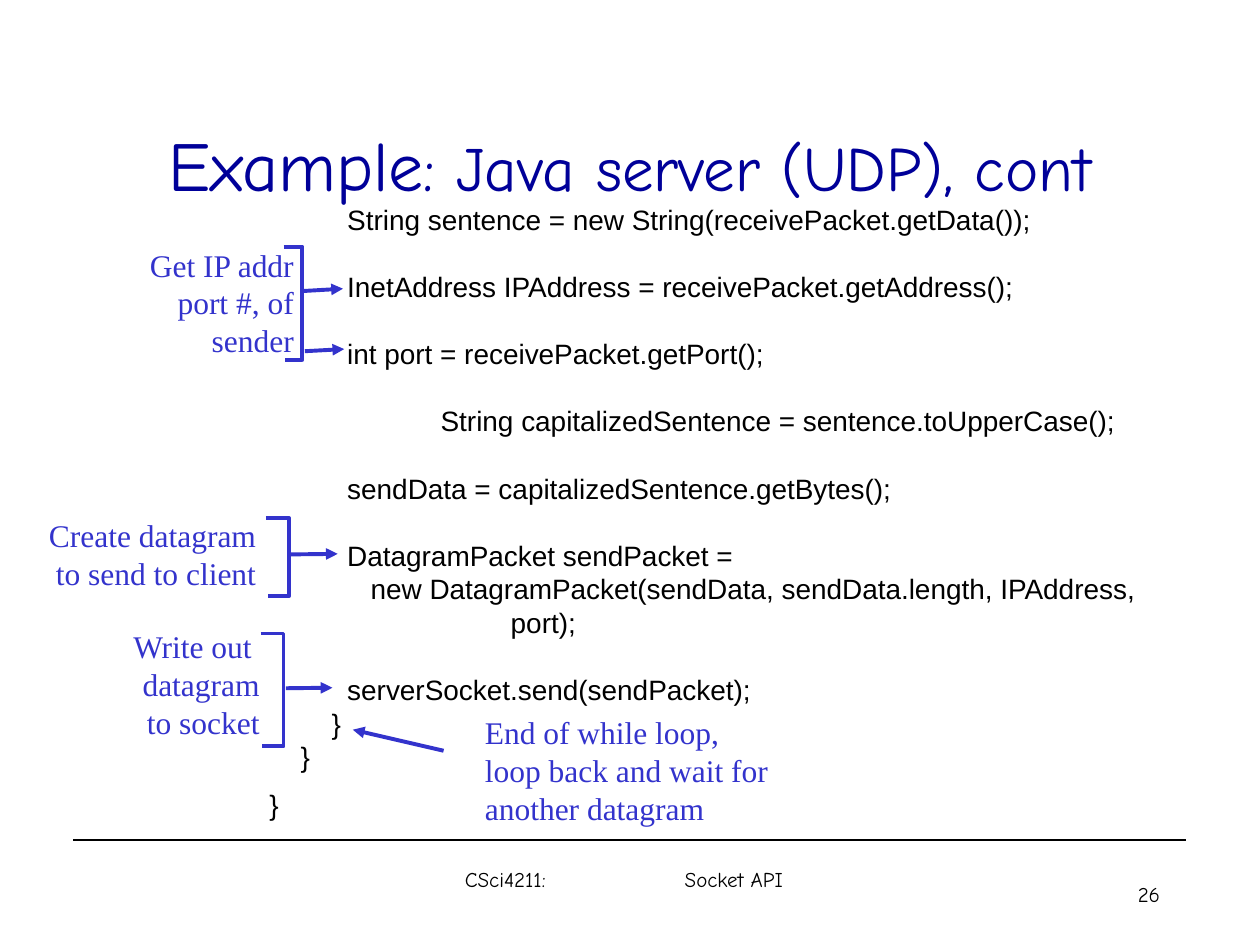
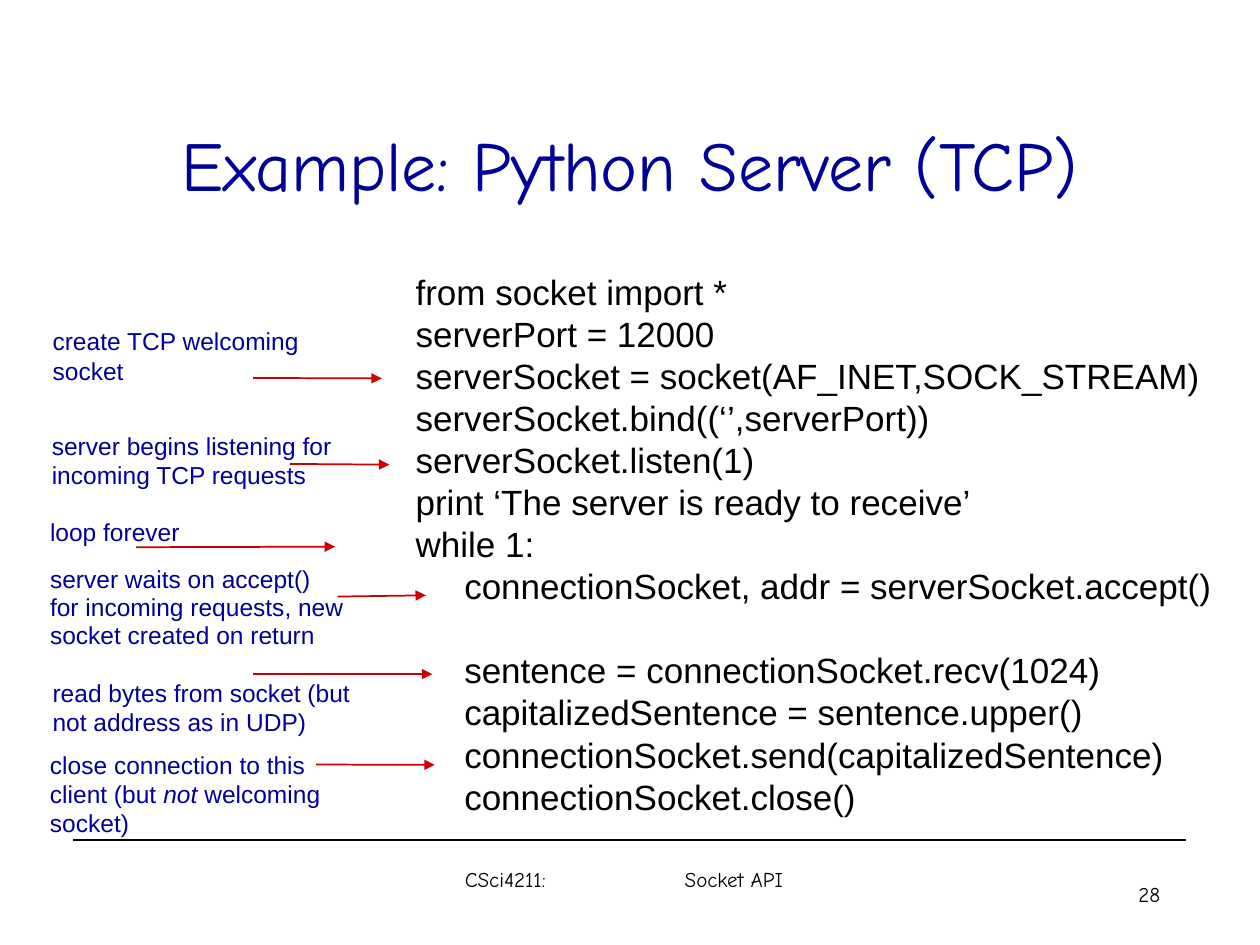
"""Build two slides of annotated socket code, in Java and in Python."""
import lxml.etree
import pptx
import pptx.dml.color
import pptx.enum.shapes
import pptx.enum.text
import pptx.oxml.ns
import pptx.util

Pt = pptx.util.Pt
qn = pptx.oxml.ns.qn
Align = pptx.enum.text.PP_ALIGN
LEFT, RIGHT, MID = Align.LEFT, Align.RIGHT, Align.CENTER

BLACK = pptx.dml.color.RGBColor(0x00, 0x00, 0x00)
NAVY = pptx.dml.color.RGBColor(0x00, 0x00, 0x99)
BLUE = pptx.dml.color.RGBColor(0x33, 0x33, 0xCC)
RED = pptx.dml.color.RGBColor(0xCC, 0x00, 0x00)

SPACE = 0.278
LEAD = 1.2

STYLES = {
    "title": {"name": "Comic Neue", "size": 40, "ink": NAVY},
    "foot": {"name": "Comic Neue", "size": 12, "ink": BLACK},
    "java": {"name": "Arial", "size": 16, "ink": BLACK},
    "python": {"name": "Arial", "size": 20, "ink": BLACK},
    "label": {"name": "Times New Roman", "size": 18, "ink": BLUE},
    "note": {"name": "Arial", "size": 14, "ink": NAVY},
}


class Deck:
    def __init__(self):
        self.show = pptx.Presentation()
        self.show.slide_width, self.show.slide_height = Pt(720), Pt(540)
        self.slide = None

    def start(self, title, number):
        self.slide = self.show.slides.add_slide(self.show.slide_layouts[5])
        self.head(title)
        self.line((42, 480), (678, 480), BLACK, 0.75)
        self.text((508, 500.4, 162, 29), "foot", [number], align=RIGHT)
        foot = self.text((258.5, 491.8, 234, 36), "foot", ["CSci4211:\tSocket API"])
        props = foot.text_frame.paragraphs[0]._p.get_or_add_pPr()
        tabs = lxml.etree.SubElement(props, qn("a:tabLst"))
        lxml.etree.SubElement(tabs, qn("a:tab"), pos=str(Pt(125.7)), algn="l")

    def head(self, parts):
        shape = self.slide.shapes.title
        self.place(shape, (54, 48.2, 612, 90))
        frame = shape.text_frame
        frame.auto_size = pptx.enum.text.MSO_AUTO_SIZE.NONE
        frame.vertical_anchor = pptx.enum.text.MSO_ANCHOR.MIDDLE
        para = frame.paragraphs[0]
        para.alignment, para.line_spacing = MID, Pt(48)
        for words, size in parts:
            self.run(para, words, "title", size=Pt(size))

    def place(self, shape, box):
        for key, value in zip(("left", "top", "width", "height"), box):
            setattr(shape, key, Pt(value))

    def run(self, para, words, style, **extra):
        look = STYLES[style]
        run = para.add_run()
        run.text = words
        form = {"name": look["name"], "size": Pt(look["size"]), "bold": False} | extra
        for key, value in form.items():
            setattr(run.font, key, value)
        run.font.color.rgb = look["ink"]

    def text(self, box, style, rows, align=LEFT, lead=None):
        shape = self.slide.shapes.add_textbox(*map(Pt, box))
        frame = shape.text_frame
        frame.word_wrap = True
        size = STYLES[style]["size"]
        for i, row in enumerate(rows):
            para = frame.add_paragraph() if i else frame.paragraphs[0]
            para.alignment = align
            para.line_spacing = Pt(lead or size * LEAD)
            parts = (row,) if isinstance(row, str) else row
            for k, words in enumerate(parts):
                self.run(para, words, style, italic=k % 2 == 1)
        return shape

    def code(self, box, style, rows):
        shape = self.text(box, style, [words for _, _, words in rows])
        size = STYLES[style]["size"]
        for para, (gap, indent, _) in zip(shape.text_frame.paragraphs, rows):
            para.space_before = Pt(gap * size * LEAD)
            para._p.get_or_add_pPr().set("marL", str(Pt(indent * size * SPACE)))

    def line(self, tail, tip, ink, width, arrow=False):
        kind = pptx.enum.shapes.MSO_CONNECTOR.STRAIGHT
        line = self.slide.shapes.add_connector(kind, *map(Pt, tail + tip))
        line.line.color.rgb, line.line.width = ink, Pt(width)
        if arrow:
            stroke = line.line._get_or_add_ln()
            lxml.etree.SubElement(stroke, qn("a:tailEnd"), type="triangle")
        lxml.etree.SubElement(line._element.spPr, qn("a:effectLst"))

    def bracket(self, left, top, right, low):
        path = self.slide.shapes.build_freeform(Pt(left), Pt(top))
        spots = [(right, top), (right, low), (left + 1, low)]
        path.add_line_segments([(Pt(x), Pt(y)) for x, y in spots], close=False)
        shape = path.convert_to_shape()
        shape.shadow.inherit = False
        shape.fill.background()
        shape.line.color.rgb, shape.line.width = BLUE, Pt(2.25)


def java(deck):
    deck.start([("Example", 40), (": Java server (UDP), cont", 36)], "26")
    deck.code((146.9, 112.1, 520, 362), "java", [
        (0, 10, "String sentence = new String(receivePacket.getData());"),
        (1, 10, "InetAddress IPAddress = receivePacket.getAddress();"),
        (1, 10, "int port = receivePacket.getPort();"),
        (1, 22, "String capitalizedSentence = sentence.toUpperCase();"),
        (1, 10, "sendData = capitalizedSentence.getBytes();"),
        (1, 10, "DatagramPacket sendPacket ="),
        (0, 13, "new DatagramPacket(sendData, sendData.length, IPAddress,"),
        (0, 31, "port);"),
        (1, 10, "serverSocket.send(sendPacket);"),
        (0, 8, "}"),
        (0, 4, "}"),
        (0.43, 0, "}"),
    ])
    labels = [
        ((10, 136.8, 165, 72), ["Get IP addr", "port #, of", "sender"]),
        ((10, 291.6, 143.5, 50), ["Create datagram", "to send to client"]),
        ((50, 355, 105.5, 72), ["Write out ", "datagram", "to socket"]),
    ]
    for box, rows in labels:
        deck.text(box, "label", rows, align=RIGHT)
    deck.text((270, 403.9, 180, 72), "label",
              ["End of while loop,", "loop back and wait for", "another datagram"])
    for box in [(162, 141, 172.8, 205.5), (152, 296, 165, 340.8), (149, 362, 162, 426.5)]:
        deck.bracket(*box)
    arrows = [
        ((173.5, 166.3), (196, 165)),
        ((174.2, 200.7), (196.7, 199.5)),
        ((166.3, 316.8), (193, 316.5)),
        ((163.4, 393.3), (190, 393)),
        ((253.5, 429), (201.6, 417)),
    ]
    for tail, tip in arrows:
        deck.line(tail, tip, BLUE, 2.25, arrow=True)


def python(deck):
    deck.start([("Example: Python Server (TCP)", 40)], "28")
    deck.code((230.4, 151.2, 480, 320), "python", [
        (0, 0, "from socket import *"),
        (0, 0, "serverPort = 12000"),
        (0, 0, "serverSocket = socket(AF_INET,SOCK_STREAM)"),
        (0, 0, "serverSocket.bind((‘’,serverPort))"),
        (0, 0, "serverSocket.listen(1)"),
        (0, 0, "print ‘The server is ready to receive’"),
        (0, 0, "while 1:"),
        (0, 5, "connectionSocket, addr = serverSocket.accept()"),
        (1, 5, "sentence = connectionSocket.recv(1024)"),
        (0, 5, "capitalizedSentence = sentence.upper()"),
        (0, 5, "connectionSocket.send(capitalizedSentence)"),
        (0, 5, "connectionSocket.close()"),
    ])
    notes = [
        ((23, 182.9, 201.6, 41), None, ["create TCP welcoming", "socket"],
         (144.7, 216), (218.2, 216.2)),
        ((22.5, 242.6, 178.6, 41), None,
         ["server begins listening for incoming TCP requests"],
         (165.6, 265.1), (222.5, 265.5)),
        ((21.5, 293, 98, 23), 16, ["loop forever"], (77.8, 312.7), (191.5, 312.4)),
        ((21.5, 319.7, 202.3, 55.4), 16,
         ["server waits on accept()", "for incoming requests, new socket created on return"],
         (193, 340.9), (243.4, 340.2)),
        ((23, 383.8, 185, 41), None,
         ["read bytes from socket (but not address as in UDP)"],
         (144.7, 385.2), (247, 385.2)),
        ((21.5, 424.8, 185, 57.6), None,
         [("close connection to this client (but ", "not", " welcoming socket)")],
         (180.7, 436.9), (248.4, 437.1)),
    ]
    for box, lead, rows, tail, tip in notes:
        deck.text(box, "note", rows, lead=lead)
        deck.line(tail, tip, RED, 1, arrow=True)


def main():
    deck = Deck()
    java(deck)
    python(deck)
    deck.show.save("out.pptx")


if __name__ == "__main__":
    main()
